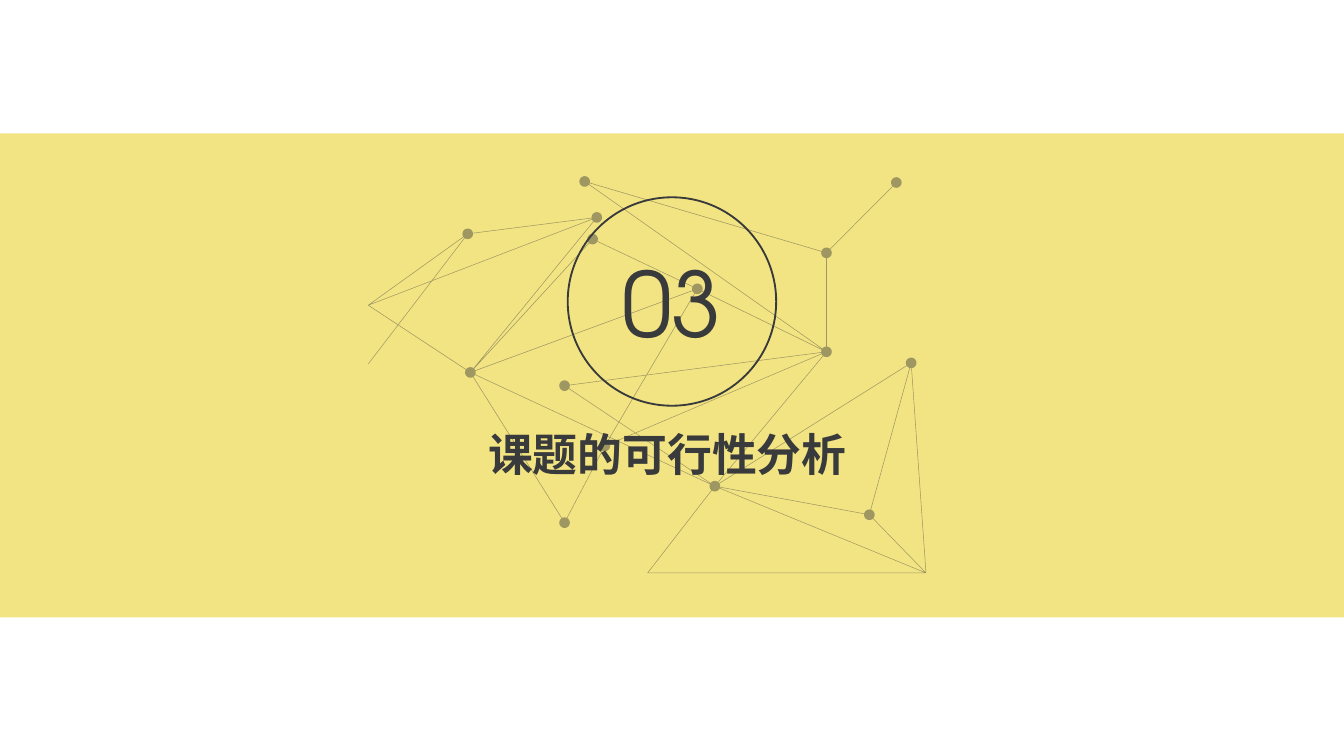
import math

from lxml import etree
from pptx import Presentation
from pptx.dml.color import RGBColor
from pptx.enum.shapes import MSO_SHAPE
from pptx.enum.text import MSO_ANCHOR, PP_ALIGN
from pptx.oxml.ns import qn
from pptx.util import Cm, Pt

RECTANGLE, OVAL = MSO_SHAPE.RECTANGLE, MSO_SHAPE.OVAL
CENTER, MIDDLE = PP_ALIGN.CENTER, MSO_ANCHOR.MIDDLE
YELLOW = RGBColor(0xF3, 0xE4, 0x83)
CHARCOAL = RGBColor(0x38, 0x3A, 0x3B)

NUMBER = "03"
TITLE = "课题的可行性分析"

# Network points in centimetres: nodes carry a dot, corners do not.
NODES = {
    "top": (11.05, 3.43), "tip": (16.94, 3.45), "right": (15.62, 4.78),
    "hub": (15.62, 6.65), "centre": (13.18, 5.46), "upper": (11.28, 4.11),
    "inner": (11.20, 4.52), "west": (8.84, 4.42), "fork": (8.89, 7.04),
    "middle": (10.67, 7.29), "lower": (11.43, 8.43), "bottom": (10.67, 9.88),
    "south": (13.51, 9.19), "east": (16.43, 9.73), "peak": (17.22, 6.86),
}
CORNERS = {
    "left": (6.96, 5.77), "left end": (6.96, 6.88),
    "base left": (12.24, 10.83), "base right": (17.50, 10.83),
}
NEIGHBOURS = {
    "peak": ["base right", "south", "east"],
    "south": ["east", "base right", "base left", "hub", "fork", "middle"],
    "base right": ["east", "base left"],
    "hub": ["right", "top", "centre", "lower", "middle"],
    "right": ["tip", "top"],
    "inner": ["centre", "fork"],
    "upper": ["fork", "west", "left"],
    "west": ["left", "left end"],
    "fork": ["left", "centre", "bottom"],
    "lower": ["bottom", "centre"],
}
DOT_RADIUS = 0.1
DOT_SIDES = 24
WIRE_WIDTH = 0.01
NETWORK_ALPHA = 45


def dot_outline(x, y):
    angles = [2 * math.pi * side / DOT_SIDES for side in range(DOT_SIDES)]
    return [(x + DOT_RADIUS * math.cos(angle), y + DOT_RADIUS * math.sin(angle))
            for angle in angles]


def wire_outline(start, end):
    """Return a thin bar between two points that stops at the rim of each dot."""
    points = NODES | CORNERS
    (x1, y1), (x2, y2) = points[start], points[end]
    length = math.dist((x1, y1), (x2, y2))
    ux, uy = (x2 - x1) / length, (y2 - y1) / length
    trim1 = DOT_RADIUS if start in NODES else 0
    trim2 = DOT_RADIUS if end in NODES else 0
    x1, y1 = x1 + ux * trim1, y1 + uy * trim1
    x2, y2 = x2 - ux * trim2, y2 - uy * trim2
    dx, dy = -uy * WIRE_WIDTH / 2, ux * WIRE_WIDTH / 2
    return [(x1 + dx, y1 + dy), (x2 + dx, y2 + dy),
            (x2 - dx, y2 - dy), (x1 - dx, y1 - dy)]


def add_network(slide):
    outlines = [dot_outline(x, y) for x, y in NODES.values()]
    outlines += [wire_outline(start, end)
                 for start, ends in NEIGHBOURS.items() for end in ends]
    outlines = [[(Cm(x), Cm(y)) for x, y in outline] for outline in outlines]
    builder = slide.shapes.build_freeform(*outlines[0][0])
    builder.add_line_segments(outlines[0][1:])
    for outline in outlines[1:]:
        builder.move_to(*outline[0])
        builder.add_line_segments(outline[1:])
    network = builder.convert_to_shape()
    network.shadow.inherit = False
    network.line.fill.background()
    network.fill.solid()
    network.fill.fore_color.rgb = CHARCOAL
    color = network.fill._xPr.find(qn("a:solidFill"))[0]
    etree.SubElement(color, qn("a:alpha"), val=str(NETWORK_ALPHA * 1000))


def set_text(shape, text, font_name, size, bold=False):
    frame = shape.text_frame
    frame.text = text
    frame.word_wrap = True
    frame.vertical_anchor = MIDDLE
    paragraph = frame.paragraphs[0]
    paragraph.alignment = CENTER
    font = paragraph.runs[0].font
    font.name, font.size, font.bold = font_name, Pt(size), bold
    font.color.rgb = CHARCOAL


presentation = Presentation()
presentation.slide_width, presentation.slide_height = Cm(25.4), Cm(14.29)
slide = presentation.slides.add_slide(presentation.slide_layouts[6])

band = slide.shapes.add_shape(RECTANGLE, 0, Cm(2.52), Cm(25.4), Cm(9.15))
band.shadow.inherit = False
band.fill.solid()
band.fill.fore_color.rgb = YELLOW
band.line.fill.background()

add_network(slide)

ring = slide.shapes.add_shape(OVAL, Cm(10.73), Cm(3.73), Cm(3.94), Cm(3.94))
ring.shadow.inherit = False
ring.fill.background()
ring.line.color.rgb = CHARCOAL
ring.line.width = Pt(1)
set_text(ring, NUMBER, "TeX Gyre Adventor", 48)

title = slide.shapes.add_textbox(Cm(7.49), Cm(7.82), Cm(10.24), Cm(1.5))
set_text(title, TITLE, "Manrope", 24, bold=True)
frame = title.text_frame
frame.margin_left = frame.margin_right = Cm(0.05)
frame.margin_top = frame.margin_bottom = Cm(0.05)

presentation.save("out.pptx")
